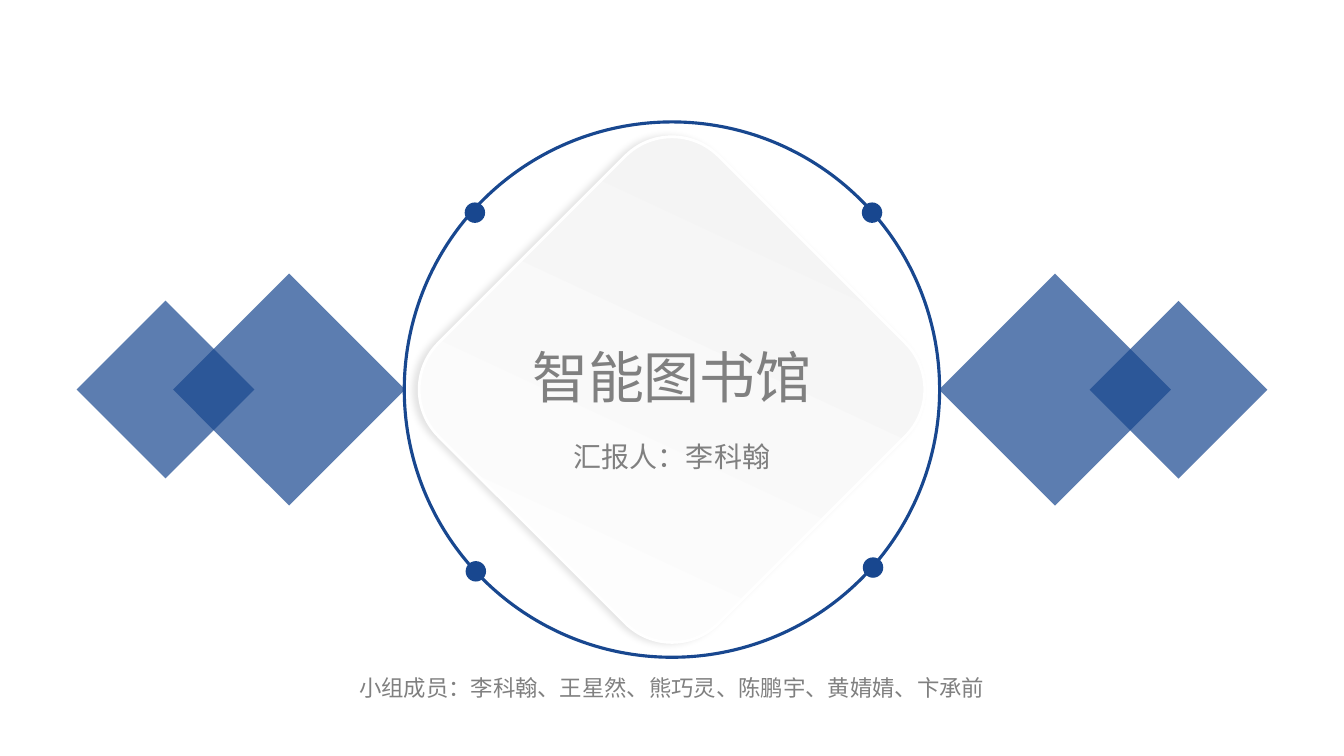
from lxml.etree import SubElement
from pptx import Presentation
from pptx.dml.color import RGBColor as RGB
from pptx.enum.shapes import MSO_SHAPE as Shape
from pptx.enum.text import MSO_ANCHOR, MSO_AUTO_SIZE, PP_ALIGN
from pptx.oxml.ns import qn
from pptx.util import Pt

CAPTIONS = [
    ("汇报人：李科翰", "presenter", 310.3, 214, 31.7),
    ("智能图书馆", "title", 241.2, 266.4, 55.4),
    ("小组成员：李科翰、王星然、熊巧灵、陈鹏宇、黄婧婧、卞承前", "members", 478.1, 579, 26.6),
]
DIAMONDS = [(273.5, 117.2), (361.8, 89.8)]
SIDES = [(-1, 45), (1, 225)]
DOTS = [(-140.8, -126.4), (143.6, 127.1), (-140.1, 129.8), (142.9, -126.4)]

THEME = {
    "blue": RGB.from_string("18478F"),
    "grey": RGB.from_string("808080"),
    "pale": RGB.from_string("F2F2F2"),
    "white": RGB.from_string("FFFFFF"),
    "font": "Open Sans",
    "sizes": {"presenter": Pt(20), "title": Pt(40), "members": Pt(16)},
}
CENTER_X, CENTER_Y = 480, 278.3
RING_SIZE, PLATE_SIZE, DOT_SIZE = 382.4, 283, 14.6
FRAME_FORMAT = {
    "word_wrap": True,
    "auto_size": MSO_AUTO_SIZE.SHAPE_TO_FIT_TEXT,
    "vertical_anchor": MSO_ANCHOR.TOP,
}


def apply(target, values):
    for key, value in values.items():
        setattr(target, key, value)


def add_centered(slide, kind, dx, dy, size, rotation=0, fill=None):
    figure = slide.shapes.add_shape(
        kind, Pt(CENTER_X + dx - size / 2), Pt(CENTER_Y + dy - size / 2), Pt(size), Pt(size))
    figure.rotation = rotation
    figure.shadow.inherit = False
    figure.line.fill.background()
    if fill is None:
        figure.fill.background()
    else:
        figure.fill.solid()
        figure.fill.fore_color.rgb = fill
    return figure


def outline(figure, color, width):
    figure.line.color.rgb = color
    figure.line.width = Pt(width)


def add_diamond(slide, dx, size, rotation):
    diamond = add_centered(slide, Shape.RECTANGLE, dx, 0, size, rotation, THEME["blue"])
    tint = diamond.fill._xPr.find(qn("a:solidFill"))[0]
    SubElement(tint, qn("a:alpha"), val="70000")


def add_plate(slide):
    plate = add_centered(slide, Shape.ROUNDED_RECTANGLE, 0, 0, PLATE_SIZE, 45)
    plate.fill.gradient()
    plate.fill.gradient_angle = 110
    for stop, shade in zip(plate.fill.gradient_stops, ("white", "pale")):
        stop.color.rgb = THEME[shade]
    outline(plate, THEME["white"], 2)
    effects = plate.element.spPr.find(qn("a:effectLst"))
    shadow = SubElement(effects, qn("a:outerShdw"), blurRad=str(Pt(5)), dist=str(Pt(4)),
                        dir="10800000", algn="ctr", rotWithShape="0")
    shade = SubElement(shadow, qn("a:srgbClr"), val="000000")
    SubElement(shade, qn("a:alpha"), val="11000")


def add_caption(slide, wording, role, top, width, height):
    caption = slide.shapes.add_textbox(
        Pt(CENTER_X - width / 2), Pt(top), Pt(width), Pt(height))
    apply(caption.text_frame, FRAME_FORMAT)
    paragraph = caption.text_frame.paragraphs[0]
    paragraph.alignment = PP_ALIGN.CENTER
    run = paragraph.add_run()
    run.text = wording
    apply(run.font, {"size": THEME["sizes"][role], "name": THEME["font"]})
    run.font.color.rgb = THEME["grey"]
    SubElement(run.font._element, qn("a:ea"), typeface=THEME["font"])


def main():
    deck = Presentation()
    apply(deck, {"slide_width": Pt(960), "slide_height": Pt(540)})
    slide = deck.slides.add_slide(deck.slide_layouts[6])
    for side, rotation in SIDES:
        for offset, size in DIAMONDS:
            add_diamond(slide, side * offset, size, rotation)
    add_plate(slide)
    ring = add_centered(slide, Shape.OVAL, 0, 0, RING_SIZE)
    outline(ring, THEME["blue"], 2.25)
    for dx, dy in DOTS:
        add_centered(slide, Shape.OVAL, dx, dy, DOT_SIZE, fill=THEME["blue"])
    for caption in CAPTIONS:
        add_caption(slide, *caption)
    deck.save("out.pptx")


if __name__ == "__main__":
    main()
